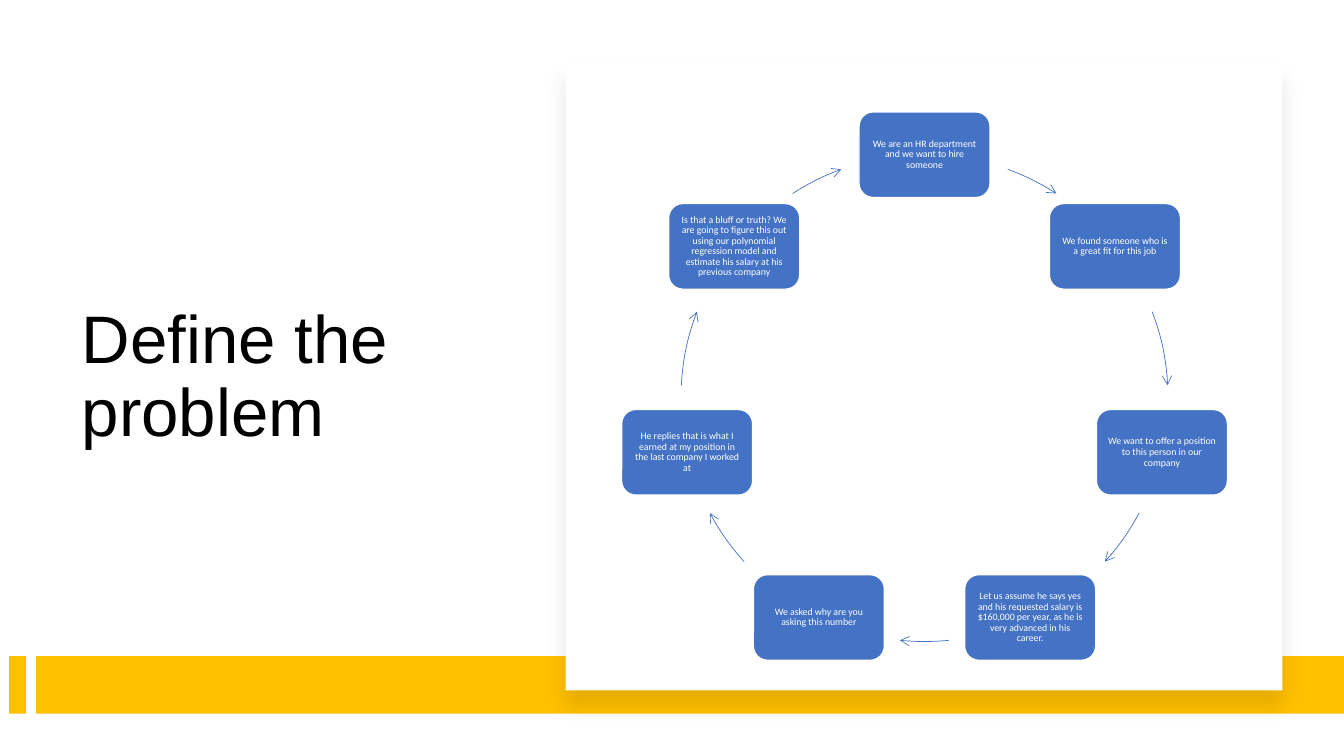
from dataclasses import dataclass
from math import cos, radians, sin

from lxml import etree
from pptx import Presentation
from pptx.dml.color import RGBColor
from pptx.enum.shapes import MSO_SHAPE as SHAPE
from pptx.enum.text import MSO_ANCHOR as ANCHOR, PP_ALIGN as ALIGN
from pptx.oxml import parse_xml
from pptx.oxml.ns import nsdecls, qn
from pptx.util import Inches, Pt


@dataclass(frozen=True)
class Theme:
    black: RGBColor = RGBColor.from_string("000000")
    white: RGBColor = RGBColor.from_string("FFFFFF")
    gold: RGBColor = RGBColor.from_string("FFC000")
    blue: RGBColor = RGBColor.from_string("4472C4")
    title_font: str = "Arial"
    body_font: str = "Calibri"
    title_size: int = 48
    body_size: int = 7


T = Theme()


def write(sp, text, font, size, color, align=ALIGN.LEFT, inset=0.1):
    tf = sp.text_frame
    tf.word_wrap = True
    tf.vertical_anchor = ANCHOR.MIDDLE
    tf.margin_left = tf.margin_right = Inches(inset)
    tf.margin_top = tf.margin_bottom = Inches(min(inset, 0.07))
    p = tf.paragraphs[0]
    p.alignment = align
    p.line_spacing = 0.9
    r = p.add_run()
    r.text = text
    r.font.name, r.font.size, r.font.color.rgb = font, Pt(size), color


def add_shape(kind, left, top, width, height, fill=None, line=None, line_width=1):
    sp = s.shapes.add_shape(kind, Inches(left), Inches(top), Inches(width), Inches(height))
    sp.shadow.inherit = False
    if fill is None:
        sp.fill.background()
    else:
        sp.fill.solid()
        sp.fill.fore_color.rgb = fill
    if line is None:
        sp.line.fill.background()
    else:
        sp.line.color.rgb = line
        sp.line.width = Pt(line_width)
    return sp


prs = Presentation()
prs.slide_width, prs.slide_height = Inches(13.33), Inches(7.5)
s = prs.slides.add_slide(prs.slide_layouts[5])

# Title
title = s.shapes.title
title.left, title.top = Inches(0.71), Inches(1.2)
title.width, title.height = Inches(4.15), Inches(5.1)
write(title, "Define the problem", T.title_font, T.title_size, T.black)

# Gold band
for left, width in [(0.09, 0.17), (0.36, 12.97)]:
    add_shape(SHAPE.RECTANGLE, left, 6.51, width, 0.57, fill=T.gold)

# White panel with a soft shadow below it
panel = add_shape(SHAPE.RECTANGLE, 5.61, 0.64, 7.11, 6.21, fill=T.white)
effects = panel._element.spPr.find(qn("a:effectLst"))
effects.append(parse_xml(
    f'<a:outerShdw {nsdecls("a")} blurRad="{Pt(15)}" dist="{Pt(11)}" dir="5400000" '
    'algn="t" rotWithShape="0"><a:srgbClr val="000000"><a:alpha val="10000"/>'
    '</a:srgbClr></a:outerShdw>'))

# Cycle of steps, clockwise from the top
STEPS = [
    "We are an HR department and we want to hire someone",
    "We found someone who is a great fit for this job",
    "We want to offer a position to this person in our company",
    "Let us assume he says yes and his requested salary is $160,000 per year, "
    "as he is very advanced in his career.",
    "We asked why are you asking this number",
    "He replies that is what I earned at my position in the last company I worked at",
    "Is that a bluff or truth? We are going to figure this out using our polynomial "
    "regression model and estimate his salary at his previous company",
]
CX, CY, RADIUS = 9.17, 3.95, 2.415
BOX_W, BOX_H = 1.3, 0.85

for i, step in enumerate(STEPS):
    angle = radians(360 / len(STEPS) * i)
    x, y = CX + RADIUS * sin(angle), CY - RADIUS * cos(angle)
    box = add_shape(SHAPE.ROUNDED_RECTANGLE, x - BOX_W / 2, y - BOX_H / 2, BOX_W, BOX_H,
                    fill=T.blue, line=T.white)
    write(box, step, T.body_font, T.body_size, T.white, align=ALIGN.CENTER, inset=0.07)

# Arc arrows: degrees from the top, the left half mirrors the right
right_spans = [(20, 32.8), (69.2, 87), (118.2, 132.2)]
left_spans = [(360 - end, 360 - start) for start, end in reversed(right_spans)]

for span in right_spans + [(174.2, 185.8)] + left_spans:
    arc = add_shape(SHAPE.ARC, CX - RADIUS, CY - RADIUS, 2 * RADIUS, 2 * RADIUS,
                    line=T.blue, line_width=0.5)
    for k, degrees in enumerate(span):
        # Adjustments count 100000ths, arc angles count 60000ths of a degree
        arc.adjustments[k] = (degrees - 90) % 360 * 0.6
    etree.SubElement(arc.line._get_or_add_ln(), qn("a:tailEnd"), type="arrow")

prs.save("out.pptx")
